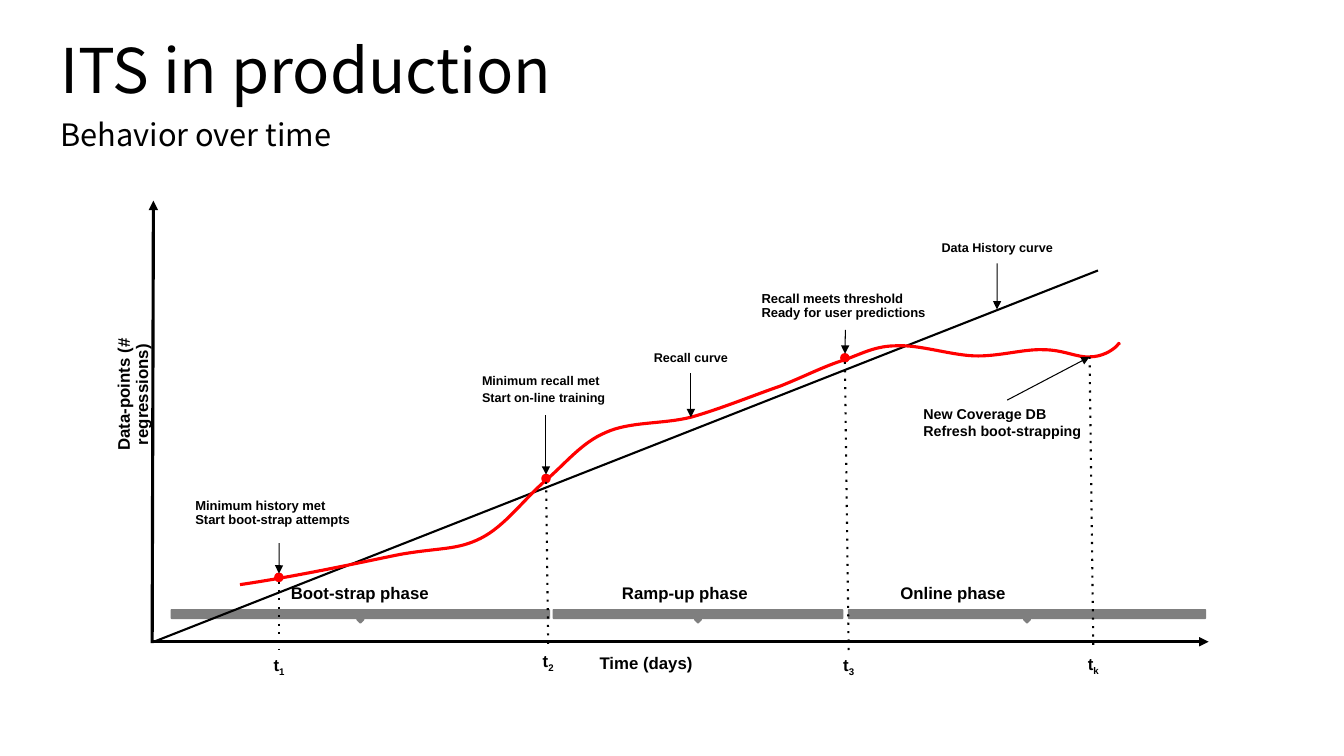
from typing import NamedTuple, Optional

from lxml import etree
from pptx import Presentation
from pptx import util as u
from pptx.dml.color import RGBColor
from pptx.enum import shapes as sh, text as tx
from pptx.oxml.ns import qn

BLACK = RGBColor(0x00, 0x00, 0x00)
RED = RGBColor(0xFF, 0x00, 0x00)
GRAY = RGBColor(0x7F, 0x7F, 0x7F)
SANS, HEAD = "Arial", "Noto Sans CJK SC"
LEFT, MID = tx.PP_ALIGN.LEFT, tx.PP_ALIGN.CENTER
TOP, LOW = 0, 2  # connection sites

Point = tuple[float, float]
Box = tuple[float, float, float, float]


class Phase(NamedTuple):
    name: str
    bar: tuple[float, float]    # left, width
    label: tuple[float, float]  # left, width


class Note(NamedTuple):
    lines: tuple[str, ...]
    box: Box
    size: float
    space: Optional[float]
    align: tx.PP_ALIGN
    site: int   # side of the box where the arrow starts
    tip: Point


class Tick(NamedTuple):
    sub: str
    start: Point
    foot: Point  # top centre of the tick label


PHASES = [
    Phase("Boot-strap phase", (122.4, 270), (134, 246.2)),
    Phase("Ramp-up phase", (395.3, 206.6), (395.3, 187.9)),
    Phase("Online phase", (606.2, 254.9), (586.8, 187.9)),
]
NOTES = [
    Note(("Minimum history met", "Start boot-strap attempts"),
         (132.5, 352.9, 133.9, 35), 9.3, 0.9, LEFT, LOW, (199.3, 409.7)),
    Note(("Minimum recall met", "Start on-line training"),
         (337.2, 261.6, 105.6, 35), 9, 1.1, LEFT, LOW, (390, 339.1)),
    Note(("Recall curve",),
         (455.7, 245.3, 75.6, 21.3), 9, 1.1, MID, LOW, (493.5, 298.1)),
    Note(("Recall meets threshold", "Ready for user predictions"),
         (536.9, 205.4, 133.9, 30.2), 9.3, 0.9, LEFT, LOW, (603.6, 252.7)),
    Note(("Data History curve",),
         (664.4, 166.8, 95.8, 21.3), 9, 1.1, MID, LOW, (712.2, 221)),
    Note(("New Coverage DB", "Refresh boot-strapping"),
         (652.5, 285.8, 133.9, 35.3), 10.2, None, LEFT, TOP, (778.3, 254.9)),
]
TICKS = [
    Tick("1", (199.3, 415.4), (199.3, 464.4)),
    Tick("2", (390.1, 344.2), (391.6, 461.5)),
    Tick("3", (603.5, 258.5), (606.2, 464.4)),
    Tick("k", (778.3, 254.9), (781, 463.7)),
]
DOTS = [(199.2, 412.4), (390, 341.8), (603.5, 255.6)]

# Recall curve: a start and then Bezier arcs (two handles and an end)
START = (171.4, 417.6)
ARCS = [
    ((215.3, 411.1), (257, 401.8), (285.8, 396)),
    ((314.6, 391), (326.2, 393.1), (343.4, 384.5)),
    ((360.7, 375.8), (374.4, 356.4), (389.5, 343.4)),
    ((403.9, 331.2), (415.4, 316.1), (432.7, 308.9)),
    ((450, 301), (473, 303.1), (493.2, 298.1)),
    ((514.1, 292.3), (538.6, 282.2), (557.3, 275.8)),
    ((575.3, 268.6), (589, 261.4), (603.4, 257)),
    ((617, 252), (625.7, 247), (640.8, 247)),
    ((656.6, 246.2), (678.2, 253.4), (695.5, 254.2)),
    ((712.8, 254.9), (731.5, 249.1), (745.2, 249.8)),
    ((759.6, 249.8), (769.7, 255.6), (778.3, 254.9)),
    ((787, 254.9), (794.2, 250.6), (797.8, 247)),
    ((800.6, 243.4), (798.5, 246.2), (799.2, 246.2)),
]

deck = Presentation()
deck.slide_width, deck.slide_height = u.Pt(960), u.Pt(540)
slide = deck.slides.add_slide(deck.slide_layouts[6])


def add_run(para, words: str, size: float, face: str = SANS, bold: bool = True):
    run = para.add_run()
    run.text = words
    font = run.font
    font.size, font.name, font.bold = u.Pt(size), face, bold
    font.color.rgb = BLACK
    return run


def add_text(box: Box, lines: tuple[str, ...], size: float = 12,
             space: Optional[float] = 0.9, align: tx.PP_ALIGN = MID,
             face: str = SANS, bold: bool = True):
    shape = slide.shapes.add_textbox(*map(u.Pt, box))
    frame = shape.text_frame
    frame.word_wrap = True
    for i, line in enumerate(lines):
        para = frame.add_paragraph() if i else frame.paragraphs[0]
        para.alignment = align
        if space:
            para.line_spacing = space
        add_run(para, line, size, face, bold)
    return shape


def add_line(start: Point, end: Point, width: float,
             arrow: bool = False, dots: bool = False):
    line = slide.shapes.add_connector(
        sh.MSO_CONNECTOR.STRAIGHT, *map(u.Pt, (*start, *end)))
    line.line.color.rgb = BLACK
    line.line.width = u.Pt(width)
    props = line._element.spPr
    stroke = props.get_or_add_ln()
    if dots:
        etree.SubElement(stroke, qn("a:prstDash"), val="dot")
    if arrow:
        etree.SubElement(stroke, qn("a:tailEnd"), type="triangle")
    etree.SubElement(props, qn("a:effectLst"))
    return line


def add_solid(kind: sh.MSO_SHAPE, box: Box, color: RGBColor):
    shape = slide.shapes.add_shape(kind, *map(u.Pt, box))
    shape.shadow.inherit = False
    shape.fill.solid()
    shape.fill.fore_color.rgb = color
    shape.line.color.rgb = color
    shape.line.width = u.Pt(1)
    return shape


def add_curve() -> None:
    pen = slide.shapes.build_freeform(*map(u.Pt, START))
    pen.add_line_segments(
        [tuple(map(u.Pt, point)) for arc in ARCS for point in arc], close=False)
    curve = pen.convert_to_shape()
    curve.shadow.inherit = False
    curve.fill.background()
    curve.line.color.rgb = RED
    curve.line.width = u.Pt(2.25)
    # Merge each three straight steps into one Bezier arc
    steps = list(curve._element.iter(qn("a:lnTo")))
    for i in range(0, len(steps), 3):
        bend = etree.Element(qn("a:cubicBezTo"))
        steps[i].addprevious(bend)
        for step in steps[i:i + 3]:
            bend.append(step[0])
            step.getparent().remove(step)


# Headings
title = add_text((36, 0, 888, 79.2), ("ITS in production",), 44, None, LEFT, HEAD, False)
title.text_frame.vertical_anchor = tx.MSO_ANCHOR.BOTTOM
add_text((36, 79.2, 888, 28.8), ("Behavior over time",), 22, None, LEFT, HEAD, False)

# Phase bars
for phase in PHASES:
    left, width = phase.bar
    bar = add_solid(sh.MSO_SHAPE.DOWN_ARROW_CALLOUT, (left, 435.6, width, 9.4), GRAY)
    for i, part in enumerate((0.25, 0.25, 0.25, 0.65)):
        bar.adjustments[i] = part
    left, width = phase.label
    add_text((left, 414, width, 21.6), (phase.name,))

# Axes
add_line((108, 458.4), (863.3, 458.4), 2.25, arrow=True)
add_line((108.7, 459.4), (109.6, 143.3), 2.25, arrow=True)
add_text((338.4, 464, 246.2, 21.6), ("Time (days)",))
side = add_text((10.6, 267.1, 166, 29.5), ("Data-points (# regressions)",))
side.rotation = 270

# Data history line and recall curve
add_line((109.4, 458.6), (784.3, 193.2), 1.5)
add_curve()
for x, y in DOTS:
    add_solid(sh.MSO_SHAPE.FLOWCHART_CONNECTOR, (x - 2.9, y - 2.9, 5.8, 5.8), RED)

# Notes with arrows
for note in NOTES:
    label = add_text(note.box, note.lines, note.size, note.space, note.align)
    arrow = add_line(note.tip, note.tip, 0.75, arrow=True)
    arrow.begin_connect(label, note.site)

# Time ticks
for tick in TICKS:
    x, y = tick.foot
    mark = add_text((x - 13, y, 26, 21.6), ("t",))
    low = add_run(mark.text_frame.paragraphs[0], tick.sub, 12)
    low.font._element.set("baseline", "-25000")
    drop = add_line(tick.start, tick.foot, 1.5, dots=True)
    drop.end_connect(mark, TOP)

deck.save("out.pptx")
